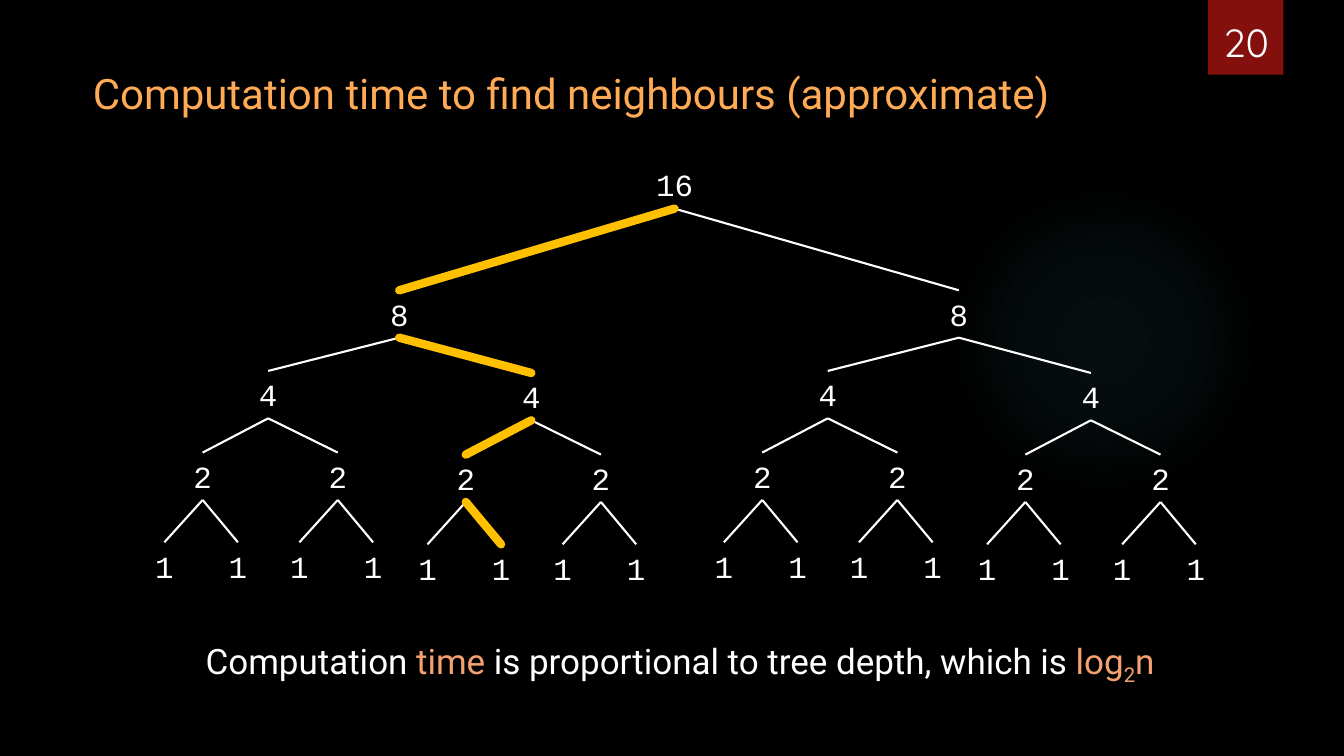
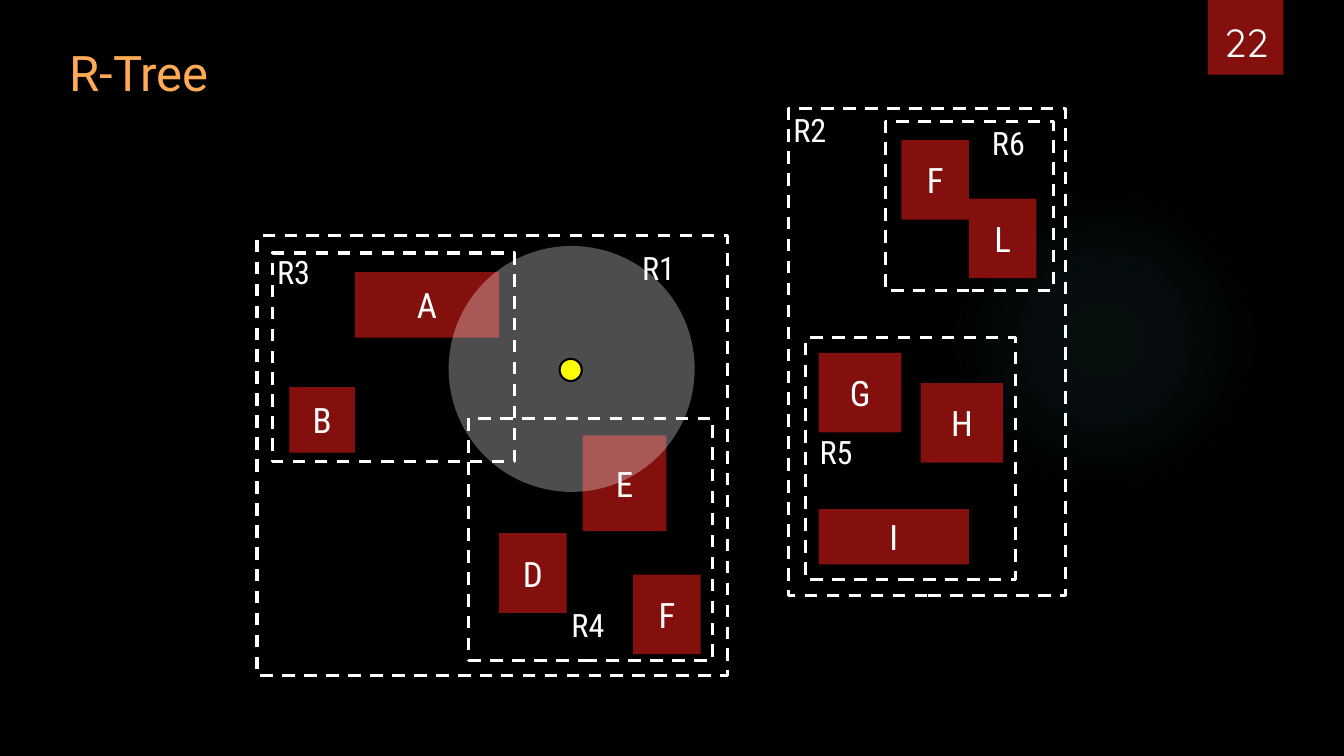
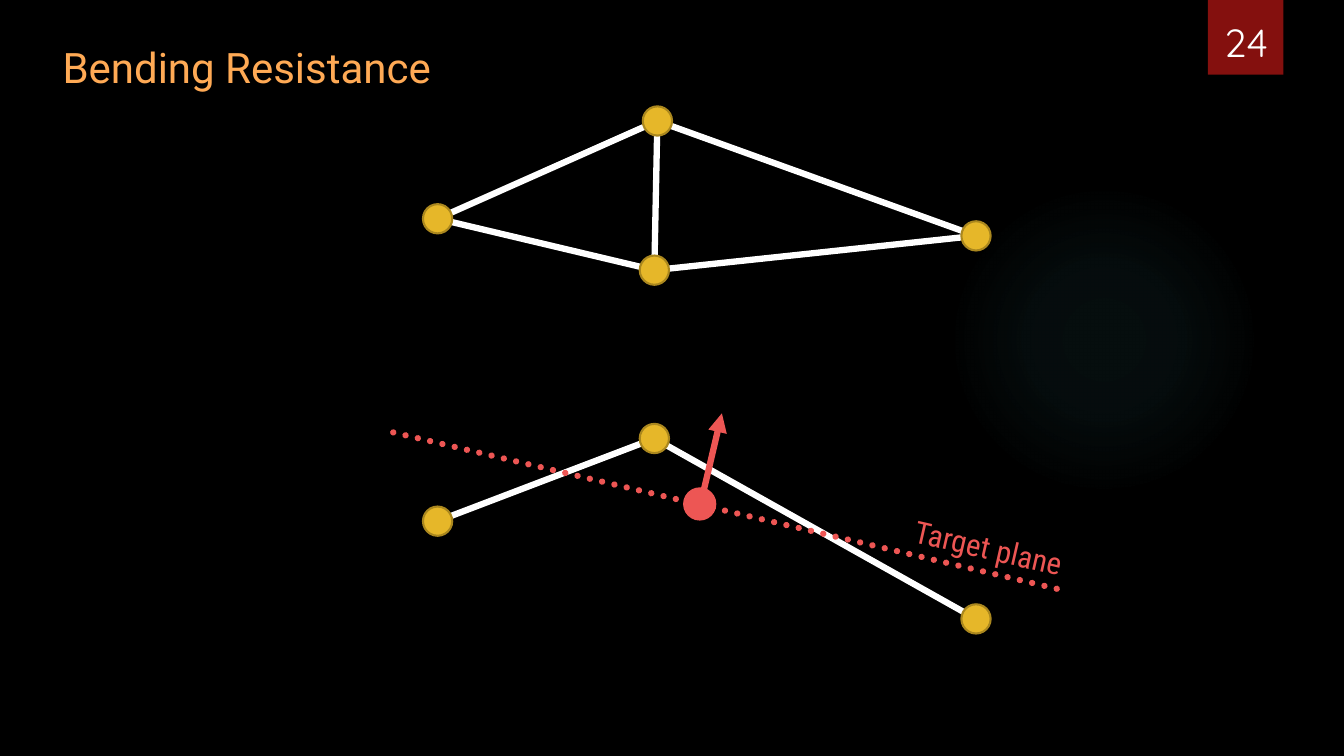
from pptx import Presentation
from pptx.dml.color import RGBColor
from pptx.enum.dml import MSO_LINE
from pptx.enum.shapes import MSO_CONNECTOR, MSO_SHAPE
from pptx.enum.text import MSO_ANCHOR, MSO_AUTO_SIZE, PP_ALIGN
from pptx.oxml import parse_xml
from pptx.oxml.ns import nsdecls, qn
from pptx.util import Inches, Pt

RECT, OVAL = MSO_SHAPE.RECTANGLE, MSO_SHAPE.OVAL
STRAIGHT = MSO_CONNECTOR.STRAIGHT
DASH, DOTS = MSO_LINE.DASH, MSO_LINE.ROUND_DOT
LEFT, CENTER = PP_ALIGN.LEFT, PP_ALIGN.CENTER
TOP, MIDDLE, BOTTOM = MSO_ANCHOR.TOP, MSO_ANCHOR.MIDDLE, MSO_ANCHOR.BOTTOM

BLACK = RGBColor(0x00, 0x00, 0x00)
WHITE = RGBColor(0xFF, 0xFF, 0xFF)
ORANGE = RGBColor(0xFF, 0xAA, 0x55)
PEACH = RGBColor(0xF4, 0xA1, 0x6F)
DARK_RED = RGBColor(0x84, 0x10, 0x0E)
CORAL = RGBColor(0xED, 0x56, 0x54)
AMBER = RGBColor(0xFF, 0xC0, 0x00)
YELLOW = RGBColor(0xFF, 0xFF, 0x00)
GOLD = RGBColor(0xE6, 0xB7, 0x29)
DARK_GOLD = RGBColor(0xAA, 0x87, 0x1E)
TEAL = RGBColor(0x50, 0xB9, 0xC1)

SANS, NARROW = "Roboto", "Roboto Condensed"
MONO, NUMERAL = "Courier New", "Quicksand"

# Grid: one column and one row measure one inch
CELL = Inches(1)
COLS, ROWS = 13.33, 7.5


def grid(*cells):
    return [round(c * CELL) for c in cells]


def write(tf, runs, size=22, font=SANS, color=WHITE, align=LEFT, anchor=TOP, wrap=True):
    """Fill a text frame with a string or with (text, overrides) runs."""
    tf.word_wrap = wrap
    tf.auto_size = MSO_AUTO_SIZE.NONE
    tf.vertical_anchor = anchor
    p = tf.paragraphs[0]
    p.alignment = align
    for text, own in [(runs, {})] if isinstance(runs, str) else runs:
        r = p.add_run()
        r.text = text
        r.font.size, r.font.name = Pt(size), font
        r.font.color.rgb = own.get("color", color)
        if "baseline" in own:
            r.font._element.set("baseline", str(own["baseline"] * 1000))


class Deck:
    def __init__(self):
        self.prs = Presentation()
        self.prs.slide_width, self.prs.slide_height = grid(COLS, ROWS)
        fill = self.prs.slide_master.background.fill
        fill.solid()
        fill.fore_color.rgb = BLACK
        self.layout = self.prs.slide_layouts[5]
        self.s = None

    def slide(self, number, title, x, y, size):
        first = self.s is None
        self.s = self.prs.slides.add_slide(self.layout)
        if first:
            self.backdrop()
        sp = self.s.shapes.title
        sp.left, sp.top, sp.width, sp.height = grid(x, y, 11, size / 50)
        write(sp.text_frame, title, size=size, color=ORANGE, anchor=MIDDLE)
        self.text(str(number), 11.9, -0.14, 0.92, 0.84, size=28, font=NUMERAL,
                  align=CENTER, anchor=BOTTOM)

    def backdrop(self):
        """Place the glow and the number tab on the shared layout."""
        glow = self.shape(OVAL, 9.41, 1.83, 3.08, 3.08)
        stops = "".join(
            f'<a:gs pos="{pos}000"><a:srgbClr val="{TEAL}">'
            f'<a:alpha val="{alpha}000"/></a:srgbClr></a:gs>'
            for pos, alpha in ((0, 7), (36, 6), (69, 0)))
        spPr = glow.element.spPr
        spPr.replace(spPr.find(qn("a:noFill")), parse_xml(
            f'<a:gradFill {nsdecls("a")}><a:gsLst>{stops}</a:gsLst><a:path path="circle">'
            '<a:fillToRect l="50000" t="50000" r="50000" b="50000"/></a:path></a:gradFill>'))
        tab = self.shape(RECT, 11.98, 0, 0.75, 0.74, fill=DARK_RED)
        for i, sp in enumerate((glow, tab)):
            self.layout.shapes.element.insert(2 + i, sp.element)

    def text(self, runs, x, y, w, h, rotation=0, **fmt):
        sp = self.s.shapes.add_textbox(*grid(x, y, w, h))
        sp.rotation = rotation
        write(sp.text_frame, runs, **fmt)
        return sp

    def shape(self, kind, x, y, w, h, fill=None, alpha=None, line=None, width=1.5, dash=None):
        sp = self.s.shapes.add_shape(kind, *grid(x, y, w, h))
        sp.shadow.inherit = False
        if fill is None:
            sp.fill.background()
        else:
            sp.fill.solid()
            sp.fill.fore_color.rgb = fill
        if alpha is not None:
            color = sp.element.spPr.find(qn("a:solidFill"))[0]
            color.append(parse_xml(f'<a:alpha {nsdecls("a")} val="{alpha}000"/>'))
        if line is None:
            sp.line.fill.background()
        else:
            sp.line.color.rgb, sp.line.width = line, Pt(width)
            if dash:
                sp.line.dash_style = dash
        return sp

    def dot(self, x, y, d, **style):
        """A circle given by its centre and diameter."""
        return self.shape(OVAL, x - d / 2, y - d / 2, d, d, **style)

    def line(self, start=(0, 0), end=(0, 0), color=WHITE, width=1.5, dash=None,
             rounded=False, arrow=False):
        c = self.s.shapes.add_connector(STRAIGHT, *grid(*start, *end))
        c.line.color.rgb, c.line.width = color, Pt(width)
        if dash:
            c.line.dash_style = dash
        ln = c.line._get_or_add_ln()
        if rounded:
            ln.set("cap", "rnd")
        if arrow:
            ln.append(parse_xml(f'<a:tailEnd {nsdecls("a")} type="triangle"/>'))
        c.element.spPr.append(parse_xml(f'<a:effectLst {nsdecls("a")}/>'))
        return c

    def branch(self, parent, child, **style):
        c = self.line(**style)
        c.begin_connect(parent, 2)
        c.end_connect(child, 0)


# Left and right child of a node on each level: columns across, rows down
FORKS = [
    ((-2.73, 1.28), (2.82, 1.28)),
    ((-1.3, 0.8), (1.31, 0.82)),
    ((-0.65, 0.81), (0.69, 0.81)),
    ((-0.38, 0.89), (0.35, 0.89)),
]
SEARCH = "0101"  # 0 turns left, 1 turns right


def grow(deck, x, y, turns="", route=None):
    """Draw a node and all below it; collect the branches of the search."""
    level = len(turns)
    node = deck.text(str(16 >> level), x - 0.81, y, 1.62, 0.47, font=MONO, align=CENTER)
    if level < len(FORKS):
        for turn, (dx, dy) in zip("01", FORKS[level]):
            child = grow(deck, x + dx, y + dy, turns + turn, route)
            deck.branch(node, child)
            if SEARCH.startswith(turns + turn):
                route.append((node, child))
    return node


def tree_slide(deck):
    deck.slide(20, "Computation time to find neighbours (approximate)", 0.82, 0.62, 30)
    route = []
    grow(deck, 6.69, 1.6, route=route)
    for node, child in route:
        deck.branch(node, child, color=AMBER, width=6, rounded=True)
    accent = {"color": PEACH}
    deck.text([("Computation ", {}), ("time", accent),
               (" is proportional to tree depth, which is ", {}), ("log", accent),
               ("2", {"color": PEACH, "baseline": -25}), ("n", accent)],
              0.82, 6.29, 11.85, 0.52, size=25, align=CENTER)


def rtree_slide(deck):
    deck.slide(22, "R-Tree", 0.59, 0.36, 35)
    # Objects
    for name, *box in [
        ("A", 3.52, 2.7, 1.43, 0.65), ("B", 2.87, 3.84, 0.65, 0.65),
        ("E", 5.78, 4.32, 0.83, 0.95), ("D", 4.95, 5.29, 0.67, 0.79),
        ("F", 6.28, 5.7, 0.67, 0.79), ("F", 8.94, 1.39, 0.67, 0.79),
        ("L", 9.61, 1.97, 0.67, 0.79), ("G", 8.12, 3.5, 0.82, 0.79),
        ("H", 9.13, 3.8, 0.82, 0.79), ("I", 8.12, 5.05, 1.49, 0.55),
    ]:
        sp = deck.shape(RECT, *box, fill=DARK_RED)
        write(sp.text_frame, name, size=25, font=NARROW, align=CENTER, anchor=MIDDLE)
    # Bounding regions, each with the place of its name
    for name, box, label in [
        ("R4", (4.65, 4.15, 2.42, 2.4), (5.57, 5.96)),
        ("R1", (2.55, 2.34, 4.67, 4.36), (6.27, 2.41)),
        ("R3", (2.7, 2.51, 2.4, 2.07), (2.65, 2.45)),
        ("R2", (7.82, 1.08, 2.75, 4.83), (7.77, 1.05)),
        ("R5", (7.99, 3.35, 2.08, 2.4), (8.03, 4.24)),
        ("R6", (8.78, 1.21, 1.67, 1.67), (9.74, 1.17)),
    ]:
        deck.shape(RECT, *box, line=WHITE, width=2.25, dash=DASH)
        deck.text(name, *label, 0.76, 0.69, size=23, font=NARROW)
    # Search range and its centre
    deck.dot(5.67, 3.66, 2.44, fill=WHITE, alpha=30)
    deck.dot(5.66, 3.67, 0.22, fill=YELLOW, line=BLACK)


def bending_slide(deck):
    deck.slide(24, "Bending Resistance", 0.52, 0.36, 30)
    # Mesh seen from above, then from the side
    left, top, right, bottom = (4.34, 2.17), (6.52, 1.2), (9.68, 2.34), (6.49, 2.68)
    low_left, ridge, low_right = (4.34, 5.17), (6.49, 4.35), (9.68, 6.14)
    for start, end in [(left, top), (top, right), (left, bottom), (bottom, right),
                       (bottom, top), (low_left, ridge), (low_right, ridge)]:
        deck.line(start, end, width=4.5)
    for x, y in (left, top, right, bottom, low_left, ridge, low_right):
        deck.dot(x, y, 0.29, fill=GOLD, line=DARK_GOLD)
    # Target plane with its normal
    deck.dot(6.94, 5, 0.33, fill=CORAL)
    deck.line((3.9, 4.29), (10.52, 5.85), color=CORAL, width=4.5, dash=DOTS, rounded=True)
    deck.line((6.96, 4.95), (7.16, 4.1), color=CORAL, width=4.5, arrow=True)
    deck.text("Target plane", 8.96, 5.2, 1.73, 0.47, rotation=12.9, font=NARROW,
              color=CORAL, wrap=False)


def main():
    deck = Deck()
    tree_slide(deck)
    rtree_slide(deck)
    bending_slide(deck)
    deck.prs.save("out.pptx")


if __name__ == "__main__":
    main()
